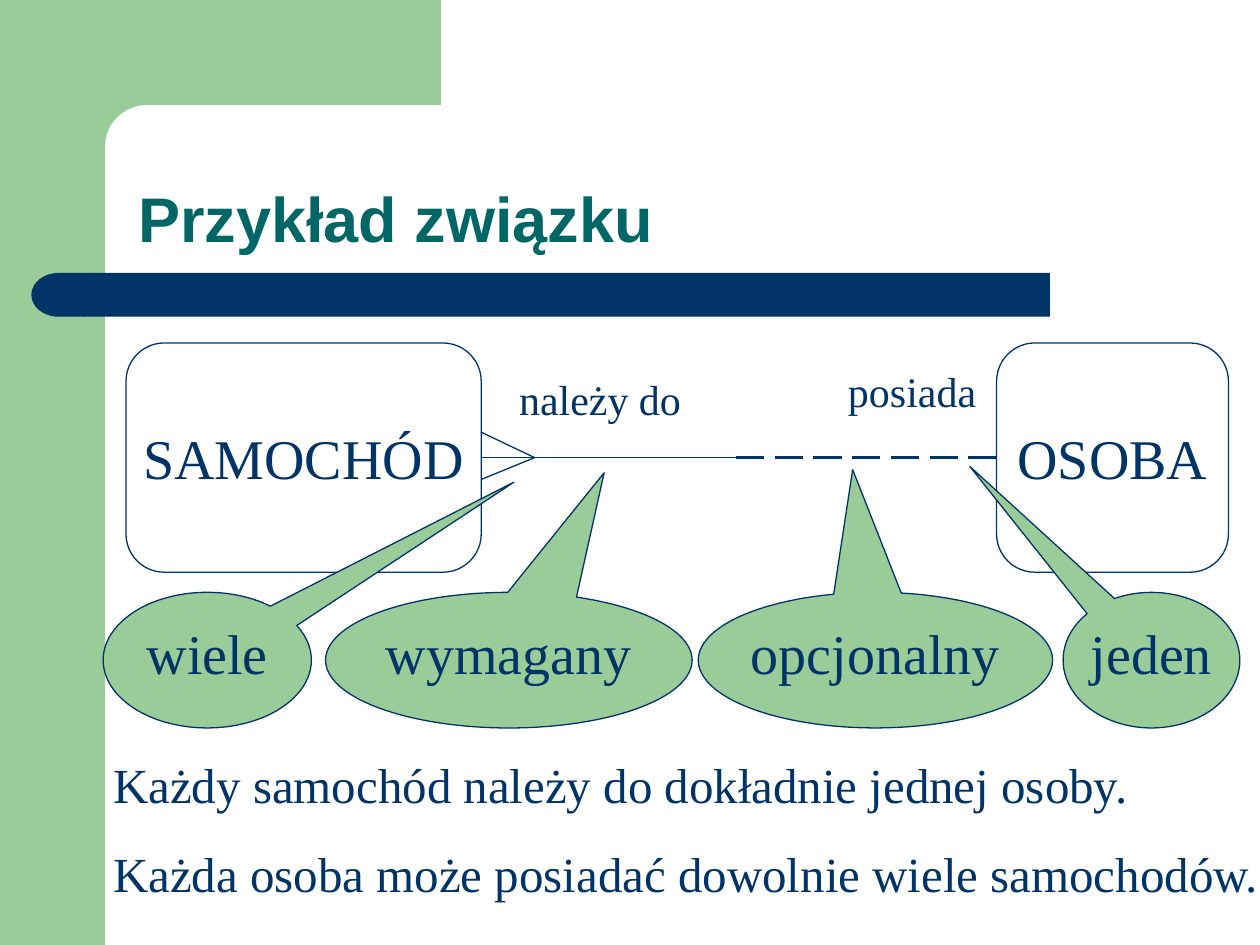
from pptx import Presentation
from pptx.dml.color import RGBColor
from pptx.enum.dml import MSO_LINE
from pptx.enum.shapes import MSO_CONNECTOR, MSO_SHAPE
from pptx.enum.text import MSO_ANCHOR, PP_ALIGN
from pptx.oxml.ns import qn
from pptx.util import Pt
from lxml import etree

GREEN = RGBColor(0x99, 0xCC, 0x99)
NAVY = RGBColor(0x00, 0x33, 0x66)
TEAL = RGBColor(0x00, 0x66, 0x66)
WHITE = RGBColor(0xFF, 0xFF, 0xFF)
SERIF = "Times New Roman"
RECT = MSO_SHAPE.RECTANGLE
ROUND = MSO_SHAPE.ROUNDED_RECTANGLE
DELAY = MSO_SHAPE.FLOWCHART_DELAY
CALLOUT = MSO_SHAPE.OVAL_CALLOUT
STRAIGHT = MSO_CONNECTOR.STRAIGHT
LONG_DASH = MSO_LINE.LONG_DASH
TOP, MIDDLE, BOTTOM = MSO_ANCHOR.TOP, MSO_ANCHOR.MIDDLE, MSO_ANCHOR.BOTTOM
LEFT, CENTER = PP_ALIGN.LEFT, PP_ALIGN.CENTER


def add_shape(s, kind, box, fill=None, line=None, adj=()):
    sp = s.shapes.add_shape(kind, *map(Pt, box))
    sp.shadow.inherit = False
    if fill is None:
        sp.fill.background()
    else:
        sp.fill.solid()
        sp.fill.fore_color.rgb = fill
    if line is None:
        sp.line.fill.background()
    else:
        sp.line.color.rgb = line
        sp.line.width = Pt(0.75)
    for i, value in enumerate(adj):
        sp.adjustments[i] = value
    return sp


def add_line(s, start, end, width=0.75, dash=None):
    line = s.shapes.add_connector(STRAIGHT, *map(Pt, start + end))
    line.line.color.rgb = NAVY
    line.line.width = Pt(width)
    if dash is not None:
        line.line.dash_style = dash
    etree.SubElement(line._element.spPr, qn("a:effectLst"))
    return line


def write(sp, lines, size, font=SERIF, color=NAVY, bold=False, align=LEFT,
          anchor=TOP, wrap=True, inset=7.2, before=0, spacing=None):
    tf = sp.text_frame
    tf.word_wrap = wrap
    tf.vertical_anchor = anchor
    tf.margin_left = tf.margin_right = Pt(inset)
    tf.margin_top = tf.margin_bottom = Pt(3.6)
    for i, text in enumerate(lines):
        p = tf.add_paragraph() if i else tf.paragraphs[0]
        p.alignment = align
        p.space_before = Pt(before)
        if spacing:
            p.line_spacing = spacing
        r = p.add_run()
        r.text = text
        r.font.name = font
        r.font.size = Pt(size)
        r.font.bold = bold
        r.font.color.rgb = color


def add_text(s, box, lines, size, **style):
    write(s.shapes.add_textbox(*map(Pt, box)), lines, size, **style)


def add_frame(s, x, y, w, h):
    add_shape(s, RECT, (x, y, 60, h), GREEN)
    add_shape(s, RECT, (x + 54, y, w * 0.275, 84), GREEN)
    add_shape(s, ROUND, (x + 60, y + 60, 402, 48), WHITE, adj=[0.5])


def add_title(s, x, y, w, h, text):
    band_y = y + h + 6
    add_shape(s, RECT, (x - 24, band_y, 552, 25), NAVY)
    cap = add_shape(s, DELAY, (x - 54, band_y, 31, 25), NAVY)
    cap._element.spPr.find(qn("a:xfrm")).set("flipH", "1")
    add_text(s, (x, y, w, h), [text], 36, font="Arial", color=TEAL,
             bold=True, anchor=BOTTOM, spacing=0.9)


def add_entity(s, box, name):
    sp = add_shape(s, ROUND, box, line=NAVY, adj=[0.167])
    write(sp, [name], 32, align=CENTER, anchor=MIDDLE, wrap=False)
    return sp


def add_relation(s, x, y, w, h):
    car_w, person_w = 203, 132.5
    car = add_entity(s, (x, y, car_w, h), "SAMOCHÓD")
    person = add_entity(s, (x + w - person_w, y, person_w, h), "OSOBA")
    mid = y + h / 2
    side, end = x + car_w, x + w - person_w
    fork, change = side + 30.5, 420.5
    for dy in (-14.5, 0, 12.5):
        prong = add_line(s, (side, mid + dy), (fork, mid))
        if dy == 0:
            prong.begin_connect(car, 3)
    add_line(s, (fork, mid), (change, mid))
    optional = add_line(s, (change, mid), (end, mid), 2, LONG_DASH)
    optional.end_connect(person, 1)
    add_text(s, (side + 14.5, y + 14, 120, 36), ["należy do"], 24)
    add_text(s, (end - 92, y + 9.5, 92, 36), ["posiada"], 24)


def add_callouts(s, y, h):
    callouts = [
        ("wiele", 59, 119, 7.2, (1.473, -1.313)),
        ("jeden", 607.5, 101, 0, (-1.028, -1.429)),
        ("wymagany", 186, 209.5, 1.44, (0.26, -1.382)),
        ("opcjonalny", 399, 202.5, 0, (-0.064, -1.405)),
    ]
    for text, x, w, inset, tip in callouts:
        sp = add_shape(s, CALLOUT, (x, y, w, h), GREEN, NAVY, tip)
        write(sp, [text], 32, align=CENTER, inset=inset)


def main():
    prs = Presentation()
    prs.slide_width, prs.slide_height = Pt(720), Pt(540)
    s = prs.slides.add_slide(prs.slide_layouts[6])
    add_frame(s, 0, 0, 720, 540)
    add_title(s, 72, 60, 630, 90, "Przykład związku")
    add_relation(s, 72, 196, 630, 131)
    add_callouts(s, 338.5, 77.5)
    add_text(s, (57.6, 427.5, 675, 92),
             ["Każdy samochód należy do dokładnie jednej osoby.",
              "Każda osoba może posiadać dowolnie wiele samochodów."],
             28, before=17.5)
    prs.save("out.pptx")


if __name__ == "__main__":
    main()
